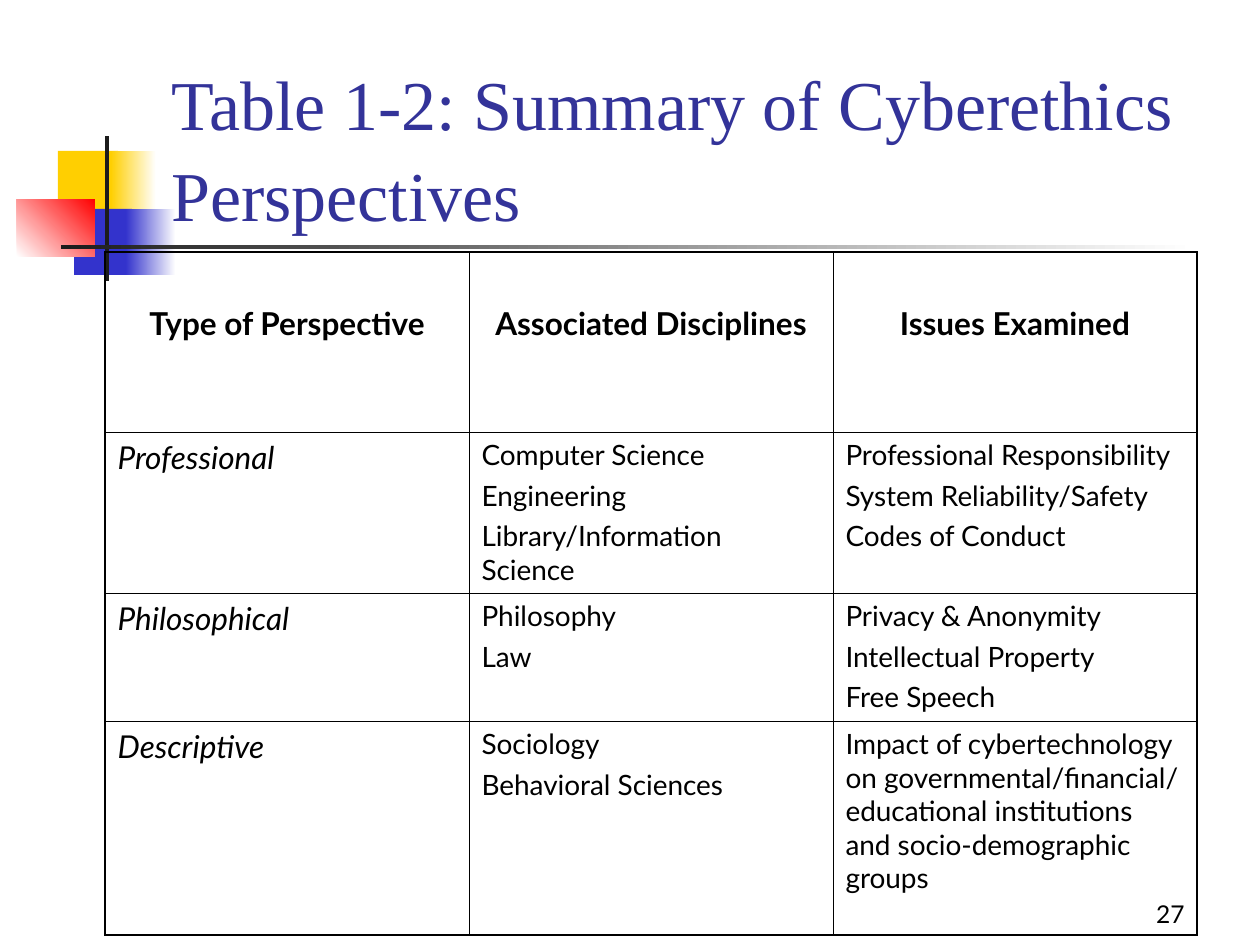
from dataclasses import dataclass

from lxml import etree
from pptx import Presentation
from pptx import util as u
from pptx.dml.color import RGBColor
from pptx.enum import shapes, text
from pptx.oxml.ns import qn


@dataclass(frozen=True)
class Theme:
    title_font: str = "Times New Roman"
    body_font: str = "Lato"
    title: str = "333399"
    ink: str = "000000"
    paper: str = "FFFFFF"
    yellow: str = "FFCF01"
    blue: str = "3333CC"
    red: str = "FF0000"
    dark: str = "1C1C1C"
    title_size: int = 40
    title_leading: int = 52
    label_size: int = 18
    body_size: int = 16
    number_size: int = 14
    outer_line: float = 1.08
    inner_line: float = 0.45


THEME = Theme()
TITLE = "Table 1-2: Summary of Cyberethics Perspectives"
PAGE_NUMBER = "27"
HEADERS = ["Type of Perspective", "Associated Disciplines", "Issues Examined"]
PERSPECTIVES = [
    ("Professional",
     ["Computer Science", "Engineering", "Library/Information Science"],
     ["Professional Responsibility", "System Reliability/Safety", "Codes of Conduct"]),
    ("Philosophical",
     ["Philosophy", "Law"],
     ["Privacy & Anonymity", "Intellectual Property", "Free Speech"]),
    ("Descriptive",
     ["Sociology", "Behavioral Sciences"],
     ["Impact of cybertechnology on governmental/financial/ educational "
      "institutions and socio-demographic groups"]),
]
DECORATION = [
    ((58, 151, 60, 66), [THEME.yellow], 0),
    ((111, 151, 45, 66), [THEME.yellow, THEME.paper], 0),
    ((74, 209, 58, 66), [THEME.blue], 0),
    ((126, 209, 50, 66), [THEME.blue, THEME.paper], 0),
    ((17, 199, 78, 58), [THEME.paper, THEME.red], 45),
    ((105, 136, 4, 145), [THEME.dark], 0),
    ((61, 245, 1134, 4), [THEME.dark, THEME.paper], 0),
]
TITLE_BOX = (159, 84, 1073, 158)
NUMBER_BOX = (935, 872, 262, 63)
TABLE_LEFT, TABLE_TOP, COLUMN_WIDTH = 105, 252, 364
ROW_HEIGHTS = [180, 161, 128, 214]
HEADER_MARGIN = 52


def px(value):
    return u.Emu(round(value * 914400 / 126))


def box(values):
    return [px(value) for value in values]


def color(name):
    return RGBColor.from_string(name)


def set_font(paragraph, size, name=THEME.body_font, ink=THEME.ink, bold=False, italic=False):
    font = paragraph.font
    font.name, font.size = name, u.Pt(size)
    font.bold, font.italic = bold, italic
    font.color.rgb = color(ink)


def add_decoration(slide):
    for place, colors, angle in DECORATION:
        shape = slide.shapes.add_shape(shapes.MSO_SHAPE.RECTANGLE, *box(place))
        shape.shadow.inherit = False
        shape.line.fill.background()
        if len(colors) == 1:
            shape.fill.solid()
            shape.fill.fore_color.rgb = color(colors[0])
        else:
            shape.fill.gradient()
            shape.fill.gradient_angle = angle
            for position, (stop, name) in enumerate(zip(shape.fill.gradient_stops, colors)):
                stop.position = position
                stop.color.rgb = color(name)


def format_title(slide):
    title = slide.shapes.title
    title.left, title.top, title.width, title.height = box(TITLE_BOX)
    frame = title.text_frame
    frame.text = TITLE
    frame.word_wrap = True
    frame.auto_size = text.MSO_AUTO_SIZE.NONE
    frame.vertical_anchor = text.MSO_ANCHOR.BOTTOM
    paragraph = frame.paragraphs[0]
    paragraph.alignment = text.PP_ALIGN.LEFT
    paragraph.line_spacing = u.Pt(THEME.title_leading)
    set_font(paragraph, THEME.title_size, THEME.title_font, THEME.title)
    title._element.getparent().append(title._element)


def set_borders(cell, outer_sides):
    properties = cell._tc.get_or_add_tcPr()
    for index, (side, outer) in enumerate(zip("LRTB", outer_sides)):
        width = THEME.outer_line if outer else THEME.inner_line
        line = etree.Element(qn(f"a:ln{side}"), w=str(int(u.Pt(width))))
        fill = etree.SubElement(line, qn("a:solidFill"))
        etree.SubElement(fill, qn("a:srgbClr"), val=THEME.ink)
        properties.insert(index, line)


def fill_cell(cell, lines, row, column):
    cell.fill.background()
    cell.text_frame.text = "\n".join(lines)
    if row == 0:
        cell.margin_top = px(HEADER_MARGIN)
    size = THEME.label_size if row == 0 or column == 0 else THEME.body_size
    for index, paragraph in enumerate(cell.text_frame.paragraphs):
        if row == 0:
            paragraph.alignment = text.PP_ALIGN.CENTER
        if index:
            paragraph.space_before = u.Pt(4)
        set_font(paragraph, size, bold=row == 0, italic=row > 0 and column == 0)


def add_perspectives_table(slide):
    rows = [[[header] for header in HEADERS]]
    rows += [[[kind], disciplines, issues] for kind, disciplines, issues in PERSPECTIVES]
    last_row, last_column = len(rows) - 1, len(HEADERS) - 1
    place = (TABLE_LEFT, TABLE_TOP, COLUMN_WIDTH * len(HEADERS), sum(ROW_HEIGHTS))
    table = slide.shapes.add_table(len(rows), len(HEADERS), *box(place)).table
    table.first_row = table.horz_banding = False
    for column in table.columns:
        column.width = px(COLUMN_WIDTH)
    for r, (cells, height) in enumerate(zip(rows, ROW_HEIGHTS)):
        table.rows[r].height = px(height)
        for c, lines in enumerate(cells):
            cell = table.cell(r, c)
            fill_cell(cell, lines, r, c)
            set_borders(cell, (c == 0, c == last_column, r == 0, r == last_row))


def add_page_number(slide):
    frame = slide.shapes.add_textbox(*box(NUMBER_BOX)).text_frame
    frame.word_wrap = True
    frame.vertical_anchor = text.MSO_ANCHOR.BOTTOM
    frame.text = PAGE_NUMBER
    paragraph = frame.paragraphs[0]
    paragraph.alignment = text.PP_ALIGN.RIGHT
    set_font(paragraph, THEME.number_size)


def main():
    presentation = Presentation()
    presentation.slide_width, presentation.slide_height = px(1260), px(945)
    slide = presentation.slides.add_slide(presentation.slide_layouts[5])
    add_decoration(slide)
    format_title(slide)
    add_perspectives_table(slide)
    add_page_number(slide)
    presentation.save("out.pptx")


if __name__ == "__main__":
    main()
